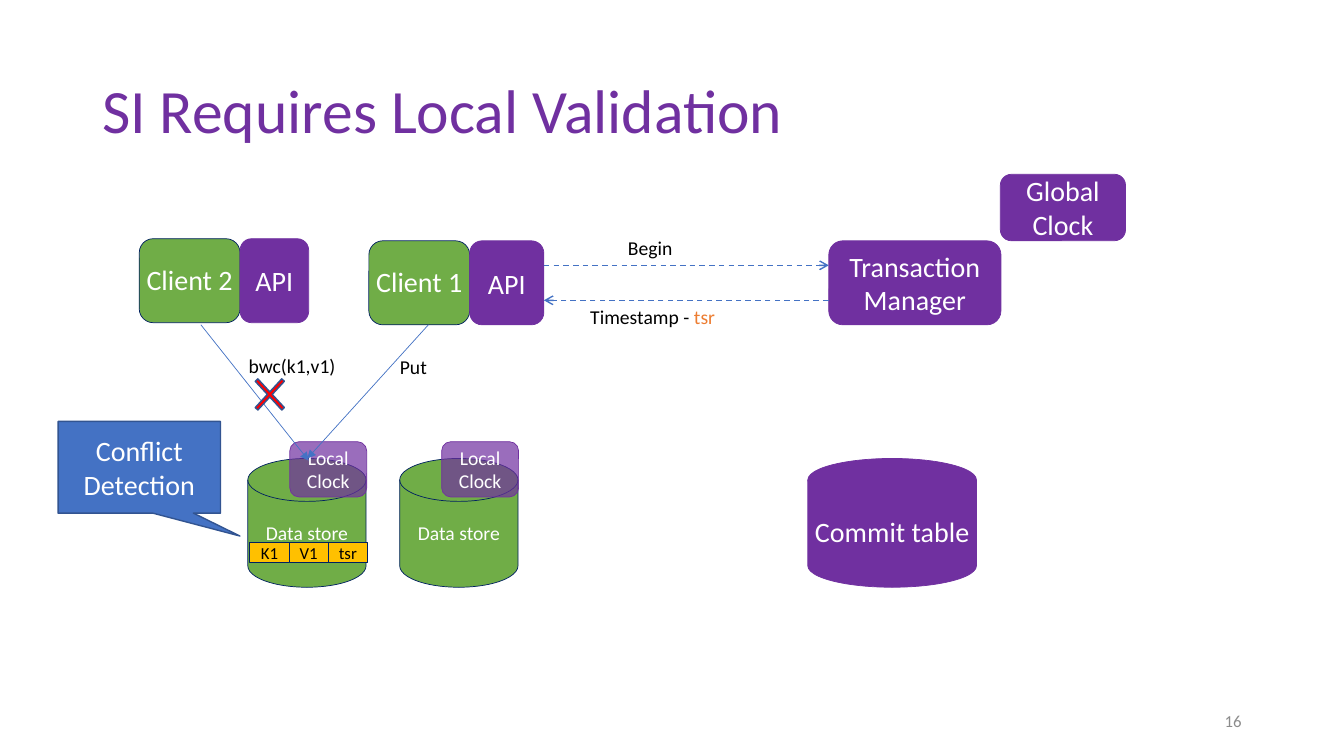
from lxml.etree import SubElement
from pptx import Presentation
from pptx.dml.color import RGBColor
from pptx.enum.dml import MSO_LINE
from pptx.enum.shapes import MSO_CONNECTOR, MSO_SHAPE
from pptx.enum.text import MSO_ANCHOR, PP_ALIGN
from pptx.oxml.ns import qn
from pptx.util import Pt

PURPLE, GREEN, NAVY = "7030A0", "70AD47", "002060"
BLUE, DARK_BLUE, ORANGE = "4472C4", "325491", "ED7D31"
YELLOW, RED, GRAY = "FFC000", "FF0000", "8C8C8C"
BLACK, WHITE = "000000", "FFFFFF"


def color(hex_string):
    return RGBColor.from_string(hex_string)


def style_runs(paragraph, size, text_color):
    for run in paragraph.runs:
        run.font.name = "Calibri"
        run.font.size = Pt(size)
        run.font.color.rgb = color(text_color)


def add_label(slide, text, left, top, width, height, size=14, text_color=BLACK,
              anchor=MSO_ANCHOR.TOP, align=PP_ALIGN.LEFT, wrap=True):
    box = slide.shapes.add_textbox(Pt(left), Pt(top), Pt(width), Pt(height))
    frame = box.text_frame
    frame.word_wrap = wrap
    frame.vertical_anchor = anchor
    frame.text = text
    paragraph = frame.paragraphs[0]
    paragraph.alignment = align
    style_runs(paragraph, size, text_color)
    return paragraph


def add_block(slide, kind, text, left, top, width, height, fill=PURPLE, line=PURPLE,
              size=20, text_color=WHITE, line_width=0.5, wrap=True):
    shape = slide.shapes.add_shape(kind, Pt(left), Pt(top), Pt(width), Pt(height))
    shape.shadow.inherit = False
    shape.fill.solid()
    shape.fill.fore_color.rgb = color(fill)
    shape.line.color.rgb = color(line)
    shape.line.width = Pt(line_width)
    if text:
        frame = shape.text_frame
        frame.margin_left = frame.margin_right = Pt(2)
        frame.word_wrap = wrap
        frame.vertical_anchor = MSO_ANCHOR.MIDDLE
        frame.text = text
        paragraph = frame.paragraphs[0]
        paragraph.alignment = PP_ALIGN.CENTER
        if not wrap:
            paragraph.line_spacing = 0.93
        style_runs(paragraph, size, text_color)
    return shape


def add_client(slide, name, left, top, api_width):
    """Draw a client with its API block attached on the right."""
    width, height = 72, 60
    add_block(slide, MSO_SHAPE.ROUNDED_RECTANGLE, name, left, top, width, height,
              GREEN, NAVY, wrap=False)
    add_block(slide, MSO_SHAPE.ROUNDED_RECTANGLE, "API", left + width, top, api_width, height)


def add_data_store(slide, left):
    """Draw a data store with a translucent local clock at its top right."""
    add_block(slide, MSO_SHAPE.FLOWCHART_MAGNETIC_DISK, "Data store", left, 327.5, 84.5, 92,
              GREEN, NAVY, size=14, wrap=False)
    clock = add_block(slide, MSO_SHAPE.ROUNDED_RECTANGLE, "Local Clock",
                      left + 30, 315.5, 55, 39.5, size=14)
    fill_color = clock.fill._xPr.find(qn("a:solidFill"))[0]
    SubElement(fill_color, qn("a:alpha"), val="70000")


def add_arrow(slide, start, end, head="triangle", width=0.5, dashed=False):
    connector = slide.shapes.add_connector(
        MSO_CONNECTOR.STRAIGHT, *(Pt(value) for value in (*start, *end)))
    connector.line.color.rgb = color(BLUE)
    connector.line.width = Pt(width)
    if dashed:
        connector.line.dash_style = MSO_LINE.DASH
    SubElement(connector.line._get_or_add_ln(), qn("a:tailEnd"), type=head)
    SubElement(connector._element.spPr, qn("a:effectLst"))


def add_messages(slide):
    """Draw the exchange between client 1 and the transaction manager."""
    left, right = 388.5, 592
    add_arrow(slide, (left, 189.5), (right, 189.5), "arrow", 1, True)
    add_label(slide, "Begin", 441.5, 165, 47, 24.5, wrap=False)
    add_arrow(slide, (right, 214.5), (left, 214.5), "arrow", 1, True)
    timestamp = add_label(slide, "Timestamp - ", 414.5, 214.5, 104.5, 24.5, wrap=False)
    timestamp.add_run().text = "tsr"
    style_runs(timestamp, 14, BLACK)
    timestamp.runs[1].font.color.rgb = color(ORANGE)


def add_record(slide, fields, left, top, width, height):
    for index, field in enumerate(fields):
        add_block(slide, MSO_SHAPE.RECTANGLE, field, left + index * width, top, width, height,
                  YELLOW, NAVY, size=12, text_color=BLACK)


def main():
    presentation = Presentation()
    presentation.slide_width, presentation.slide_height = Pt(960), Pt(540)
    slide = presentation.slides.add_slide(presentation.slide_layouts[6])

    title = add_label(slide, "SI Requires Local Validation", 66, 29, 828, 104,
                      44, PURPLE, MSO_ANCHOR.MIDDLE)
    title.line_spacing = 0.9
    add_label(slide, "16", 678, 500.5, 216, 29, 12, GRAY, MSO_ANCHOR.MIDDLE, PP_ALIGN.RIGHT)

    add_block(slide, MSO_SHAPE.ROUNDED_RECTANGLE, "Transaction Manager", 592, 172, 123, 60)
    add_block(slide, MSO_SHAPE.ROUNDED_RECTANGLE, "Global Clock", 714.5, 124.5, 89.5, 47.5)
    add_block(slide, MSO_SHAPE.FLOWCHART_MAGNETIC_DISK, "Commit table",
              577, 327.5, 120.5, 92, wrap=False)
    add_client(slide, "Client 1", 263.5, 172, 53)
    add_client(slide, "Client 2", 99.5, 170.5, 49)
    for left in (177, 285.5):
        add_data_store(slide, left)

    add_messages(slide)
    add_arrow(slide, (143.5, 232), (220.5, 329))
    add_label(slide, "bwc(k1,v1)", 170.5, 249, 91, 41)
    add_record(slide, ("K1", "V1", "tsr"), 178.5, 387.5, 28, 14.5)
    add_arrow(slide, (306, 232), (219.5, 327.5))
    add_label(slide, "Put", 278.5, 250, 37.5, 24.5)

    cross = add_block(slide, MSO_SHAPE.MATH_MULTIPLY, "", 174.5, 262, 36.5, 39.5,
                      RED, DARK_BLUE, line_width=1)
    cross.adjustments[0] = 0.07
    callout = add_block(slide, MSO_SHAPE.RECTANGULAR_CALLOUT, "Conflict Detection",
                        41.5, 301, 116, 65.5, BLUE, DARK_BLUE, line_width=1)
    callout.adjustments[0], callout.adjustments[1] = 0.62, 0.75

    presentation.save("out.pptx")


if __name__ == "__main__":
    main()
